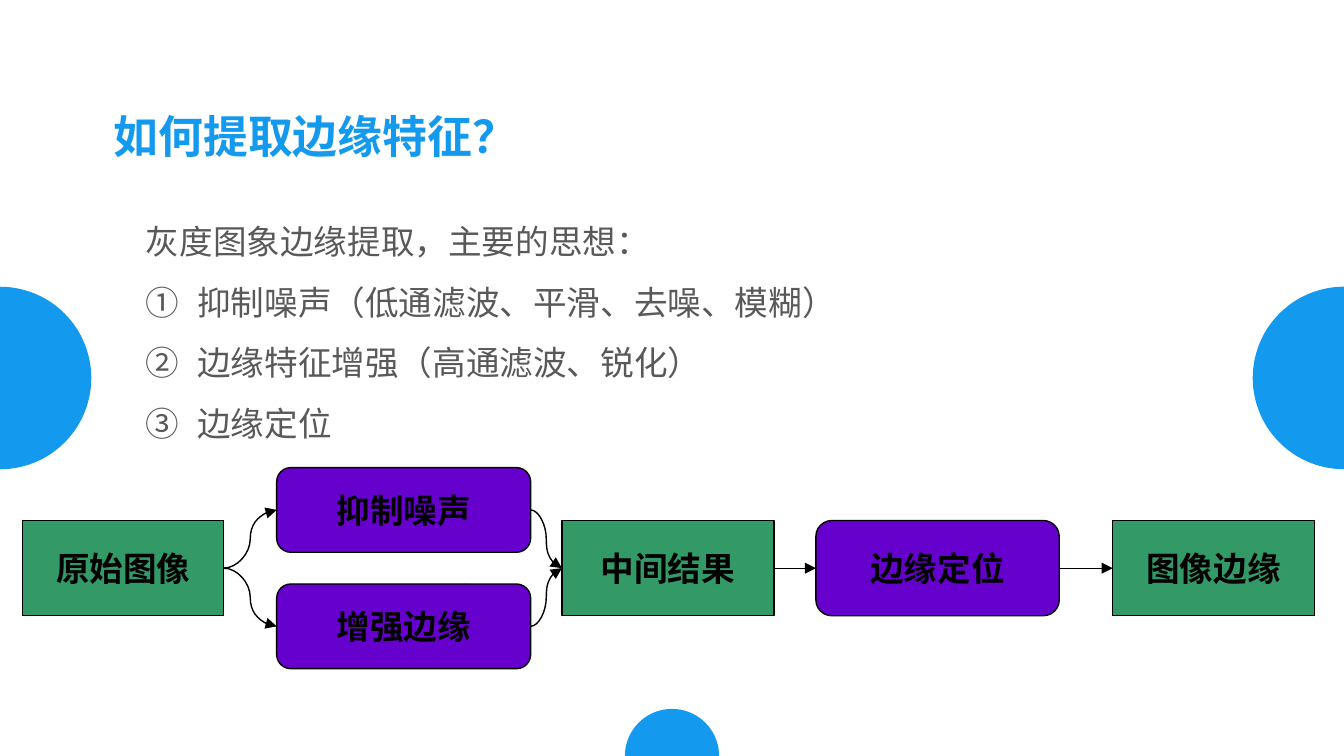
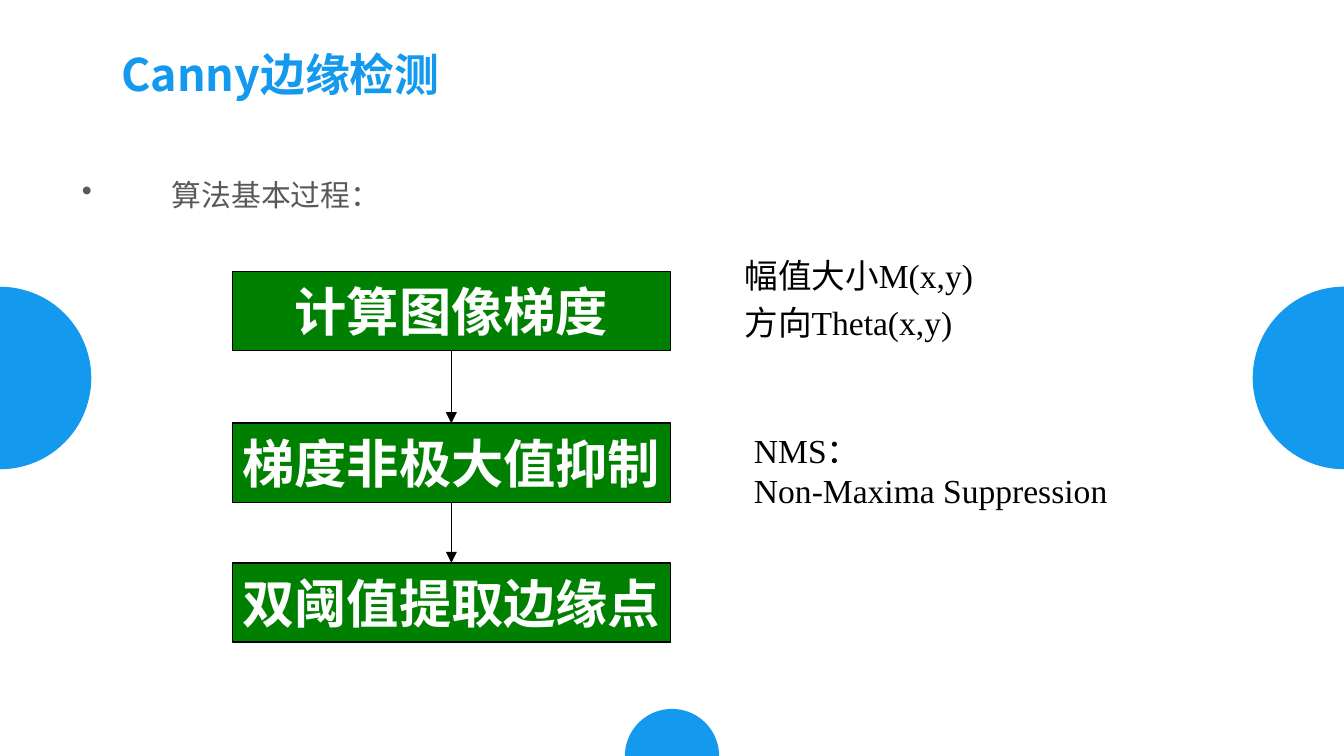
from lxml import etree
from pptx import Presentation
from pptx import util as u
from pptx.dml.color import RGBColor
from pptx.enum import shapes, text
from pptx.oxml import ns

# Shared look
COLORS = {
    "blue": "1399EE", "grey": "595959", "black": "000000", "white": "FFFFFF",
    "teal": "339966", "purple": "6600CC", "green": "008000",
}
SANS, SERIF = "Noto Sans CJK SC", "Times New Roman"
WIDTH, HEIGHT = 25.4, 14.29

# Half discs centred on the slide edges: centre x, centre y, diameter, rotation
DISCS = [
    (WIDTH / 2, HEIGHT, 1.78, 180),
    (0, HEIGHT / 2, 3.45, 270),
    (WIDTH, HEIGHT / 2, 3.45, 90),
]

# Content of slide 1
EXTRACTION_TITLE = "如何提取边缘特征？"
EXTRACTION_INTRO = "灰度图象边缘提取，主要的思想："
EXTRACTION_IDEAS = [
    "抑制噪声（低通滤波、平滑、去噪、模糊）",
    "边缘特征增强（高通滤波、锐化）",
    "边缘定位",
]
ROW_CENTRE, BRANCH_OFFSET = 10.74, 1.1
# Name: label, left, width, height, offset from the row centre, is a process
FLOW_BOXES = {
    "source": ("原始图像", 0.43, 3.8, 1.8, 0, False),
    "middle": ("中间结果", 10.62, 4.01, 1.8, 0, False),
    "edges": ("图像边缘", 21.03, 3.81, 1.8, 0, False),
    "denoise": ("抑制噪声", 5.23, 4.8, 1.6, -BRANCH_OFFSET, True),
    "enhance": ("增强边缘", 5.23, 4.8, 1.6, BRANCH_OFFSET, True),
    "locate": ("边缘定位", 15.42, 4.6, 1.8, 0, True),
}
FLOW_ARROWS = [
    ("source", "denoise"), ("source", "enhance"), ("denoise", "middle"),
    ("enhance", "middle"), ("middle", "locate"), ("locate", "edges"),
]

# Content of slide 2
CANNY_TITLE = " Canny边缘检测"
CANNY_INTRO = "算法基本过程："
CANNY_STEPS = [("计算图像梯度", 5.13), ("梯度非极大值抑制", 8), ("双阈值提取边缘点", 10.64)]
GRADIENT_NOTE = ["幅值大小M(x,y)", "方向Theta(x,y)"]
NMS_NOTE = ["NMS：", "Non-Maxima Suppression"]

TOP, LEFT, BOTTOM, RIGHT = range(4)  # connection sites of a box


def rgb(name):
    return RGBColor.from_string(COLORS[name])


def add_xml(parent, tag, **attributes):
    return etree.SubElement(parent, ns.qn(tag), attributes)


def style(paragraph, size, font, color, bold=False):
    paragraph.font.size = u.Pt(size)
    paragraph.font.bold = bold
    paragraph.font.color.rgb = rgb(color)
    paragraph.font.name = font
    defaults = paragraph._p.pPr.find(ns.qn("a:defRPr"))
    add_xml(defaults, "a:ea", typeface=SANS)


def hang(paragraph, indent, bullet=None, **attributes):
    """Give a hanging indent in cm and, if named, a bullet element."""
    properties = paragraph._p.get_or_add_pPr()
    properties.set("marL", str(u.Cm(indent)))
    properties.set("indent", str(-u.Cm(indent)))
    if bullet:
        add_xml(properties, bullet, **attributes)


def add_text(slide, box, lines, size, font, color, bold=False, grow=True):
    """Add a text box and return its paragraphs, still to be styled or indented."""
    frame = slide.shapes.add_textbox(*map(u.Cm, box)).text_frame
    frame.word_wrap = True
    if grow:
        frame.auto_size = text.MSO_AUTO_SIZE.SHAPE_TO_FIT_TEXT
    frame.text = "\n".join(lines)
    return frame.paragraphs


def add_note(slide, box, lines, indent=0, before=0):
    for paragraph in add_text(slide, box, lines, 18, SERIF, "black"):
        hang(paragraph, indent)
        paragraph.space_before = u.Pt(before)
        style(paragraph, 18, SERIF, "black")


def add_shape(slide, kind, box, fill):
    shape = slide.shapes.add_shape(kind, *map(u.Cm, box))
    shape.shadow.inherit = False
    shape.fill.solid()
    shape.fill.fore_color.rgb = rgb(fill)
    return shape


def add_box(slide, label, box, fill, size, color, rounded=False):
    kinds = shapes.MSO_SHAPE
    kind = kinds.ROUNDED_RECTANGLE if rounded else kinds.RECTANGLE
    shape = add_shape(slide, kind, box, fill)
    shape.line.color.rgb = rgb("black")
    shape.line.width = u.Pt(0.75)
    frame = shape.text_frame
    frame.word_wrap = False
    frame.vertical_anchor = text.MSO_ANCHOR.MIDDLE
    frame.text = label
    paragraph = frame.paragraphs[0]
    paragraph.alignment = text.PP_ALIGN.CENTER
    style(paragraph, size, SERIF, color, bold=True)
    return shape


def add_arrow(slide, start, start_site, end, end_site, curved=False):
    kinds = shapes.MSO_CONNECTOR
    kind = kinds.CURVE if curved else kinds.STRAIGHT
    arrow = slide.shapes.add_connector(kind, 0, 0, 0, 0)
    arrow.begin_connect(start, start_site)
    arrow.end_connect(end, end_site)
    arrow.line.color.rgb = rgb("black")
    arrow.line.width = u.Pt(0.75)
    properties = arrow._element.spPr
    add_xml(properties.find(ns.qn("a:ln")), "a:tailEnd", type="triangle")
    add_xml(properties, "a:effectLst")


def add_slide(presentation, title, title_box):
    """Add a blank slide with the half discs and the title."""
    slide = presentation.slides.add_slide(presentation.slide_layouts[6])
    for x, y, size, rotation in DISCS:
        box = (x - size / 2, y - size / 2, size, size)
        disc = add_shape(slide, shapes.MSO_SHAPE.PIE, box, "blue")
        disc.adjustments[0], disc.adjustments[1] = 0, 108  # 0 to 180 degrees
        disc.rotation = rotation
        disc.line.fill.background()
    for paragraph in add_text(slide, title_box, [title], 24, SANS, "blue"):
        style(paragraph, 24, SANS, "blue", bold=True)
    return slide


def build_extraction(presentation):
    slide = add_slide(presentation, EXTRACTION_TITLE, (1.9, 1.93, 7.57, 1.27))

    # Ideas
    lines = [EXTRACTION_INTRO, *EXTRACTION_IDEAS]
    box = (2.51, 3.68, 20.4, 4.85)
    paragraphs = add_text(slide, box, lines, 18, "Vollkorn", "grey", grow=False)
    for index, paragraph in enumerate(paragraphs):
        if index:
            hang(paragraph, 0.97, "a:buAutoNum", type="circleNumDbPlain")
        paragraph.line_spacing = 1.5
        style(paragraph, 18, "Vollkorn", "grey")

    # Flow chart
    boxes = {}
    for name, (label, left, width, height, offset, process) in FLOW_BOXES.items():
        place = (left, ROW_CENTRE + offset - height / 2, width, height)
        fill = "purple" if process else "teal"
        boxes[name] = add_box(slide, label, place, fill, 18, "black", process)
    for start, end in FLOW_ARROWS:
        curved = FLOW_BOXES[start][4] != FLOW_BOXES[end][4]
        add_arrow(slide, boxes[start], RIGHT, boxes[end], LEFT, curved)


def build_canny(presentation):
    slide = add_slide(presentation, CANNY_TITLE, (1.85, 0.76, 11.61, 1.27))

    # Introduction
    box = (1.3, 3.25, 17.83, 6.48)
    for paragraph in add_text(slide, box, [CANNY_INTRO], 16, "Calibri", "grey", grow=False):
        hang(paragraph, 1.7, "a:buChar", char="•")
        paragraph.line_spacing = u.Pt(18.2)
        style(paragraph, 16, "Calibri", "grey")

    # Steps from top to bottom
    steps = [
        add_box(slide, label, (4.39, top, 8.28, 1.5), "green", 28, "white")
        for label, top in CANNY_STEPS
    ]
    for upper, lower in zip(steps, steps[1:]):
        add_arrow(slide, upper, BOTTOM, lower, TOP)

    # Notes beside the steps
    add_note(slide, (13.82, 4.7, 6.25, 1.96), GRADIENT_NOTE, indent=1.27, before=3.6)
    add_note(slide, (14, 8, 7.37, 1.8), NMS_NOTE)


def main():
    presentation = Presentation()
    presentation.slide_width = u.Cm(WIDTH)
    presentation.slide_height = u.Cm(HEIGHT)
    build_extraction(presentation)
    build_canny(presentation)
    presentation.save("out.pptx")


if __name__ == "__main__":
    main()
